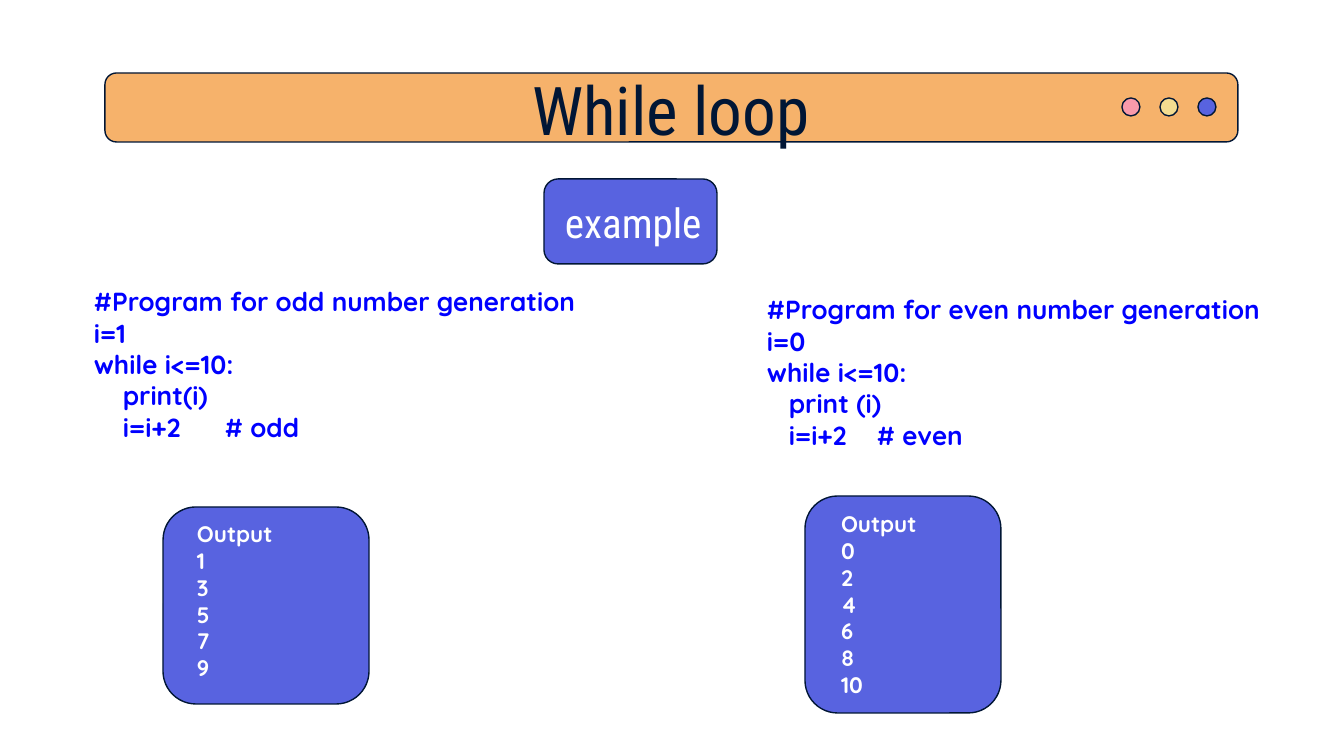
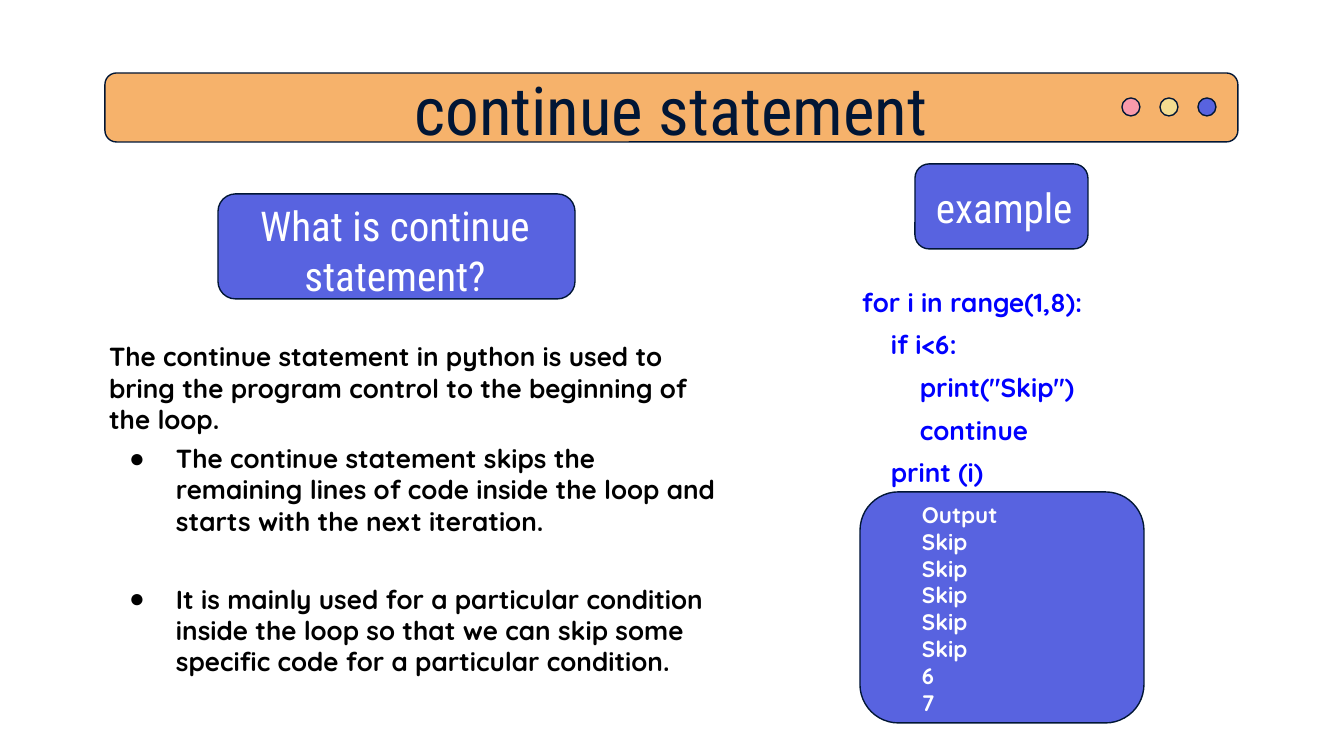
from dataclasses import dataclass

from lxml import etree
from pptx import Presentation
from pptx import util as u
from pptx.dml.color import RGBColor
from pptx.enum import shapes, text
from pptx.oxml.ns import qn

PX = 914400 / 134.4  # EMU in one px
SLIDE_W, SLIDE_H = 1344, 756
LAYOUT_BODY, LAYOUT_TITLE = 1, 5


@dataclass(frozen=True)
class Theme:
    ink: str = "011635"
    band: str = "F6B26B"
    panel: str = "5863E0"
    dots: tuple = ("F99AAA", "F4DC90", "5863E0")
    outline: float = 0.75
    # Text styles: font, size in points, bold, colour
    title: tuple = ("Roboto Condensed", 36, False, "011635")
    label: tuple = ("Roboto Condensed", 22, False, "FFFFFF")
    code: tuple = ("Quicksand", 14, True, "0000FF")
    output: tuple = ("Quicksand", 12, True, "FFFFFF")
    body: tuple = ("Quicksand", 14, True, "000000")


THEME = Theme()
LEFT, CENTER = text.PP_ALIGN.LEFT, text.PP_ALIGN.CENTER
TOP, MIDDLE = text.MSO_ANCHOR.TOP, text.MSO_ANCHOR.MIDDLE


def px(length):
    return u.Emu(round(length * PX))


def apply(target, values):
    for name, value in values.items():
        setattr(target, name, value)


def place(shape, box):
    apply(shape, dict(zip(("left", "top", "width", "height"), map(px, box))))


def within(box, offset):
    """Box whose left and top are measured from another box."""
    return (box[0] + offset[0], box[1] + offset[1], *offset[2:])


def draw(owner, kind, box, fill):
    shape = owner.add_shape(kind, *map(px, box))
    shape.shadow.inherit = False
    shape.fill.solid()
    shape.fill.fore_color.rgb = RGBColor.from_string(fill)
    shape.line.color.rgb = RGBColor.from_string(THEME.ink)
    shape.line.width = u.Pt(THEME.outline)


def write(frame, lines, style, align=LEFT, anchor=MIDDLE, insets=(0, 0, 0, 0),
          spacing=1.0):
    """Fill a text frame, one paragraph a line."""
    sides = ("margin_left", "margin_top", "margin_right", "margin_bottom")
    apply(frame, dict(zip(sides, map(px, insets))))
    apply(frame, {"word_wrap": True, "vertical_anchor": anchor,
                  "auto_size": text.MSO_AUTO_SIZE.NONE})
    font, size, bold, colour = style
    for number, line in enumerate(lines):
        paragraph = frame.add_paragraph() if number else frame.paragraphs[0]
        apply(paragraph, {"alignment": align, "line_spacing": spacing,
                          "space_before": u.Pt(0)})
        run = paragraph.add_run()
        run.text = line
        apply(run.font, {"name": font, "size": u.Pt(size), "bold": bold})
        run.font.color.rgb = RGBColor.from_string(colour)
    return frame.paragraphs


def write_box(slide, box, lines, style, **options):
    textbox = slide.shapes.add_textbox(*map(px, box))
    return write(textbox.text_frame, lines, style, **options)


def title_band(slide, heading, box=(105, 73, 1133, 69)):
    left, top, width, _ = box
    draw(slide.shapes, shapes.MSO_SHAPE.ROUNDED_RECTANGLE, box, THEME.band)

    # Window dots at the right end
    dots = slide.shapes.add_group_shape()
    size, pitch, first = 18, 38, left + width - 116
    for number, colour in enumerate(THEME.dots):
        dot = (first + number * pitch, top + 25, size, size)
        draw(dots.shapes, shapes.MSO_SHAPE.OVAL, dot, colour)

    # Title, brought in front of the band
    title = slide.shapes.title
    place(title, within(box, (95, -7, 942, 85)))
    write(title.text_frame, [heading], THEME.title, align=CENTER)
    slide.shapes.element.append(title.element)


def panel(slide, box, offset, lines, style, **options):
    draw(slide.shapes, shapes.MSO_SHAPE.ROUNDED_RECTANGLE, box, THEME.panel)
    write_box(slide, within(box, offset), lines, style, **options)


def example_label(slide, left, top):
    panel(slide, (left, top, 173, 85), (10, 12, 160, 62), ["example"],
          THEME.label, insets=(11, 0, 0, 0))


def output_panel(slide, box, offset, results):
    panel(slide, box, offset, ["Output", *results], THEME.output,
          anchor=TOP, insets=(13, 13, 13, 13))


def code_block(slide, box, lines, stops, **options):
    """Code whose indents and gaps are tab stops, in px from the text edge."""
    for paragraph in write_box(slide, box, lines, THEME.code, **options):
        props = paragraph._p.get_or_add_pPr()
        tabs = etree.SubElement(props, qn("a:tabLst"))
        for stop in stops:
            etree.SubElement(tabs, qn("a:tab"), pos=str(px(stop)), algn="l")


def definition(slide, box, intro, points):
    body = slide.placeholders[1]
    place(body, box)
    opening, *bullets = write(body.text_frame, [intro, *points], THEME.body)
    props = opening._p.get_or_add_pPr()
    apply_indent(props, 0, 0)
    etree.SubElement(props, qn("a:buNone"))
    for paragraph, gap in zip(bullets, (4, 25)):
        paragraph.space_before = u.Pt(gap)
        props = paragraph._p.get_or_add_pPr()
        apply_indent(props, 67, -47)
        etree.SubElement(props, qn("a:buChar"), char="●")


def apply_indent(props, margin, indent):
    props.set("marL", str(px(margin)))
    props.set("indent", str(px(indent)))


def while_slide(deck):
    slide = deck.slides.add_slide(deck.slide_layouts[LAYOUT_TITLE])
    title_band(slide, "While loop")
    example_label(slide, 544, 179)

    # Odd numbers
    code_block(slide, (94, 243, 543, 242),
               ["#Program for odd number generation", "i=1", "while i<=10:",
                "\tprint(i)", "\ti=i+2\t# odd"], stops=(29, 131))
    output_panel(slide, (163, 507, 206, 197), (21, 0, 147, 190),
                 map(str, range(1, 10, 2)))

    # Even numbers
    code_block(slide, (767, 251, 521, 242),
               ["#Program for even number generation", "i=0", "while i<=10:",
                "\tprint (i)", "\ti=i+2\t# even"], stops=(22, 110))
    output_panel(slide, (805, 496, 196, 217), (23, 1, 173, 217),
                 map(str, range(0, 11, 2)))


def continue_slide(deck):
    slide = deck.slides.add_slide(deck.slide_layouts[LAYOUT_BODY])
    title_band(slide, "continue statement")

    # Meaning of the statement
    panel(slide, (218, 194, 357, 105), (-4, 25, 351, 62),
          ["What is continue statement?"], THEME.label, align=CENTER,
          insets=(11, 0, 0, 0))
    definition(
        slide, (109, 313, 616, 392),
        "The continue statement in python is used to bring the program "
        "control to the beginning of the loop.",
        ["The continue statement skips the remaining lines of code inside "
         "the loop and starts with the next iteration.",
         "It is mainly used for a particular condition inside the loop so "
         "that we can skip some specific code for a particular condition."])

    # Example and its output
    example_label(slide, 915, 164)
    code_block(slide, (849, 262, 476, 231),
               ["for i in range(1,8):", "\tif i<6:", '\t\tprint("Skip")',
                "\t\tcontinue", "\tprint (i)"], stops=(29, 58),
               anchor=TOP, insets=(13, 13, 13, 13), spacing=1.36)
    output_panel(slide, (860, 492, 284, 231), (49, -4, 316, 245),
                 ["Skip"] * 5 + ["6", "7"])


def main():
    deck = Presentation()
    apply(deck, {"slide_width": px(SLIDE_W), "slide_height": px(SLIDE_H)})
    while_slide(deck)
    continue_slide(deck)
    deck.save("out.pptx")


if __name__ == "__main__":
    main()
